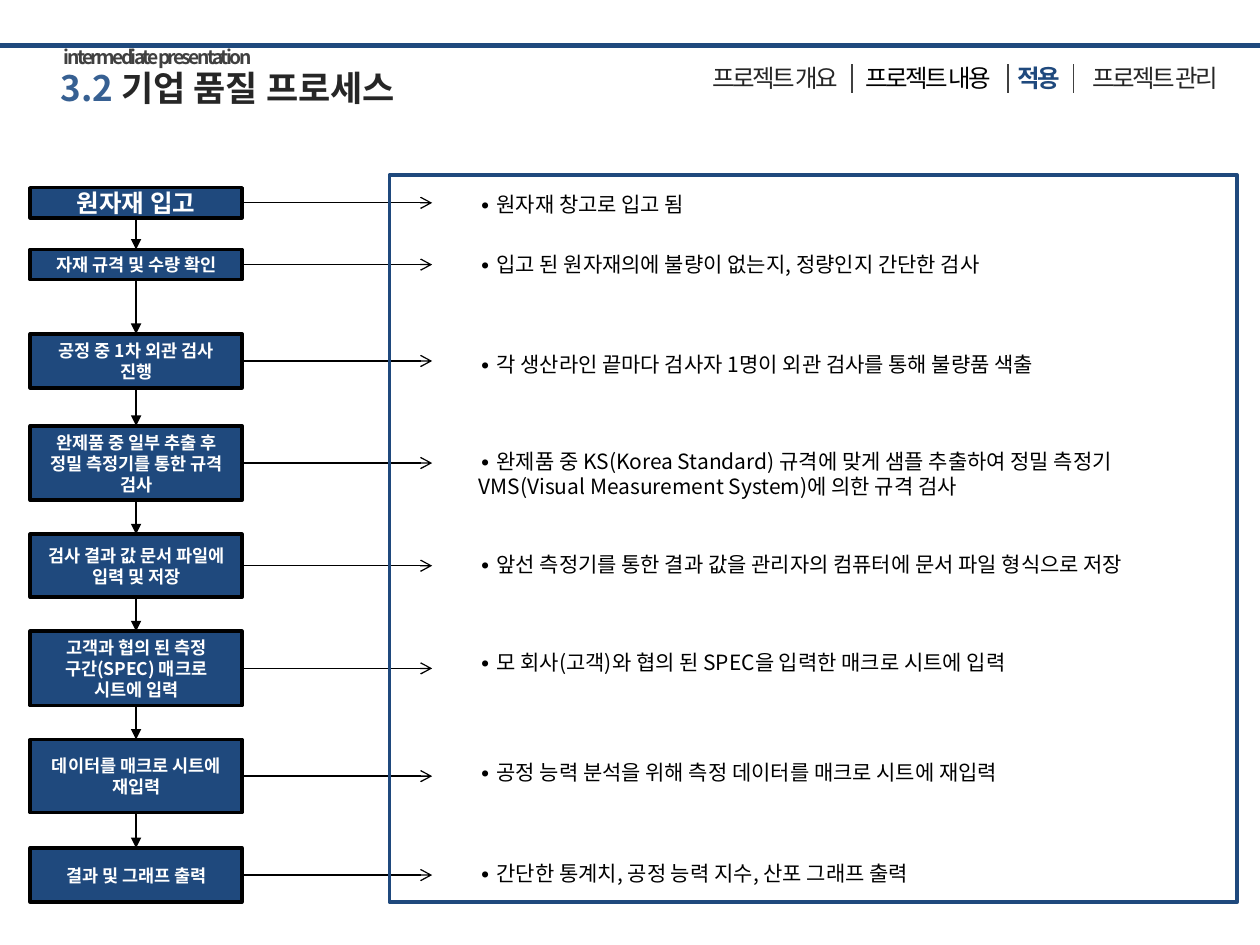
from pptx import Presentation
from pptx.dml.color import RGBColor
from pptx.enum.shapes import MSO_CONNECTOR as CONN, MSO_SHAPE as SHAPE
from pptx.enum.text import MSO_ANCHOR as ANCHOR, MSO_AUTO_SIZE as AUTO, PP_ALIGN as ALIGN
from pptx.oxml.ns import qn
from pptx.util import Inches, Pt
from lxml import etree

FONT = "Noto Sans CJK KR"
NAVY, BLACK, DARK, GRAY = "1F497D", "000000", "262626", "404040"


def style(run, size, color, bold=False, spacing=None):
    run.font.name = FONT
    run.font.size = Pt(size)
    run.font.bold = bold
    run.font.color.rgb = RGBColor.from_string(color)
    props = run._r.get_or_add_rPr()
    latin = props.find(qn("a:latin"))
    east_asian = etree.Element(qn("a:ea"), typeface=FONT)
    latin.addnext(east_asian)
    if spacing is not None:
        props.set("spc", str(int(spacing * 100)))


def add_line(x1, y1, x2, y2, color, width, arrowhead=None):
    line = slide.shapes.add_connector(
        CONN.STRAIGHT, Inches(x1), Inches(y1), Inches(x2), Inches(y2))
    line.line.color.rgb = RGBColor.from_string(color)
    line.line.width = Pt(width)
    if arrowhead:
        etree.SubElement(line.line._get_or_add_ln(), qn("a:tailEnd"), type=arrowhead)
    etree.SubElement(line._element.spPr, qn("a:effectLst"))
    return line


prs = Presentation()
prs.slide_width, prs.slide_height = Inches(10), Inches(7.5)
slide = prs.slides.add_slide(prs.slide_layouts[5])

# Header
add_line(-0.02, 0.36, 10.02, 0.36, NAVY, 3)

title = slide.shapes.title
title.left, title.top = Inches(0.38), Inches(0.48)
title.width, title.height = Inches(5.43), Inches(0.44)
title.text_frame.auto_size = AUTO.NONE
title.text_frame.vertical_anchor = ANCHOR.TOP
heading = title.text_frame.paragraphs[0]
heading.alignment = ALIGN.LEFT
for words, color in [("3.2 ", "376092"), ("기업 품질 프로세스", DARK)]:
    run = heading.add_run()
    run.text = words
    style(run, 20, color, bold=True)

subtitle = slide.shapes.add_textbox(Inches(0.41), Inches(0.31), Inches(2.44), Inches(0.29))
subtitle.text_frame.word_wrap = True
subtitle.text_frame.text = "intermediate presentation"
subtitle.text_frame.paragraphs[0].alignment = ALIGN.JUSTIFY
style(subtitle.text_frame.paragraphs[0].runs[0], 11, GRAY, bold=True, spacing=-1.5)

# Section navigation: left, width, label, colour
sections = [
    (5.31, 1.69, "프로젝트 개요", DARK),
    (6.70, 1.34, "프로젝트 내용", BLACK),
    (7.97, 0.55, "적용", NAVY),
    (8.52, 1.30, "프로젝트 관리", DARK),
]
for left, width, label, color in sections:
    section = slide.shapes.add_textbox(Inches(left), Inches(0.45), Inches(width), Inches(0.34))
    section.text_frame.word_wrap = False
    section.text_frame.text = label
    section.text_frame.paragraphs[0].alignment = ALIGN.CENTER
    style(section.text_frame.paragraphs[0].runs[0], 14, color, bold=color == NAVY, spacing=-1.5)
for x in (6.76, 8.00, 8.52):
    add_line(x, 0.51, x, 0.74, GRAY, 1)

# Process steps: top, height, step lines, description top, description
steps = [
    (1.49, 0.24, "원자재 입고", 1.47, "원자재 창고로 입고 됨"),
    (1.98, 0.24, "자재 규격 및 수량 확인", 1.95,
     "입고 된 원자재의에 불량이 없는지, 정량인지 간단한 검사"),
    (2.65, 0.43, "공정 중 1차 외관 검사 진행", 2.74,
     "각 생산라인 끝마다 검사자 1명이 외관 검사를 통해 불량품 색출"),
    (3.38, 0.59, "완제품 중 일부 추출 후\n정밀 측정기를 통한 규격 검사", 3.51,
     "완제품 중 KS(Korea Standard) 규격에 맞게 샘플 추출하여 정밀 측정기 "
     "VMS(Visual Measurement System)에 의한 규격 검사"),
    (4.24, 0.50, "검사 결과 값 문서 파일에 입력 및 저장", 4.33,
     "앞선 측정기를 통한 결과 값을 관리자의 컴퓨터에 문서 파일 형식으로 저장"),
    (5.01, 0.59, "고객과 협의 된 측정\n구간(SPEC) 매크로\n시트에 입력", 5.11,
     "모 회사(고객)와 협의 된 SPEC을 입력한 매크로 시트에 입력"),
    (5.87, 0.58, "데이터를 매크로 시트에 재입력", 5.98,
     "공정 능력 분석을 위해 측정 데이터를 매크로 시트에 재입력"),
    (6.73, 0.43, "결과 및 그래프 출력", 6.78,
     "간단한 통계치, 공정 능력 지수, 산포 그래프 출력"),
]
STEP_LEFT, STEP_WIDTH = 0.24, 1.68
center_x = STEP_LEFT + STEP_WIDTH / 2
previous = None
for top, height, step_text, note_top, note_text in steps:
    step = slide.shapes.add_shape(
        SHAPE.RECTANGLE, Inches(STEP_LEFT), Inches(top), Inches(STEP_WIDTH), Inches(height))
    step.shadow.inherit = False
    step.fill.solid()
    step.fill.fore_color.rgb = RGBColor.from_string(NAVY)
    step.line.color.rgb = RGBColor.from_string(BLACK)
    step.line.width = Pt(2)
    step.text_frame.vertical_anchor = ANCHOR.MIDDLE
    step.text_frame.text = step_text
    for paragraph in step.text_frame.paragraphs:
        paragraph.alignment = ALIGN.CENTER
        style(paragraph.runs[0], 10 if previous else 14, "FFFFFF", bold=True)

    if previous:
        flow = add_line(center_x, top, center_x, top, BLACK, 0.75, "triangle")
        flow.begin_connect(previous, 2)
        flow.end_connect(step, 0)
    previous = step

    center_y = top + height / 2
    pointer = add_line(STEP_LEFT + STEP_WIDTH, center_y, 3.43, center_y, BLACK, 0.75, "arrow")
    pointer.begin_connect(step, 3)

    note = slide.shapes.add_textbox(Inches(3.7), Inches(note_top), Inches(5.61), Inches(0.3))
    note.text_frame.word_wrap = True
    note.text_frame.auto_size = AUTO.SHAPE_TO_FIT_TEXT
    note.text_frame.text = "∙ " + note_text
    style(note.text_frame.paragraphs[0].runs[0], 12, BLACK)

# Frame around the descriptions
frame = slide.shapes.add_shape(
    SHAPE.RECTANGLE, Inches(3.09), Inches(1.39), Inches(6.73), Inches(5.77))
frame.shadow.inherit = False
frame.fill.background()
frame.line.color.rgb = RGBColor.from_string(NAVY)
frame.line.width = Pt(2)

prs.save("out.pptx")
